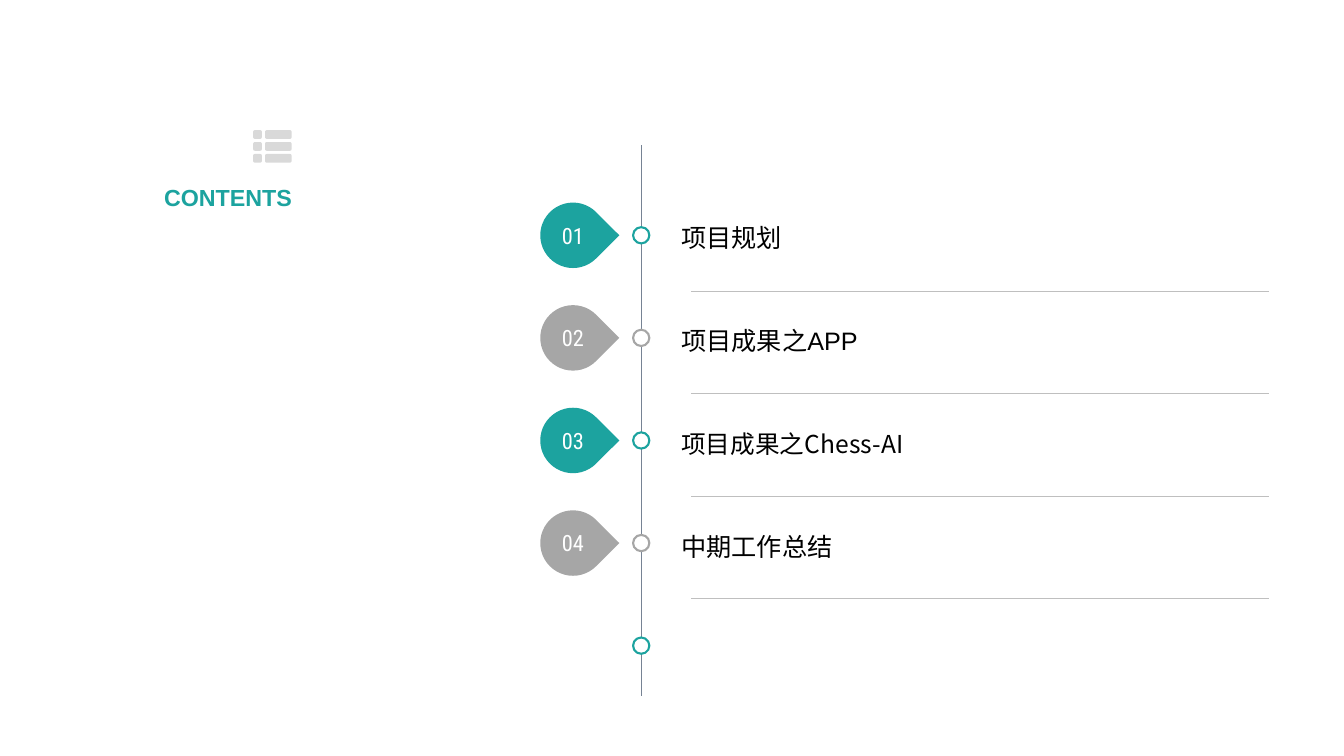
from dataclasses import dataclass
from itertools import product

from lxml.etree import SubElement
from pptx import Presentation
from pptx.dml.color import RGBColor
from pptx.enum.shapes import MSO_CONNECTOR as Link, MSO_SHAPE as Preset
from pptx.enum.text import MSO_ANCHOR as Anchor, PP_ALIGN as Align
from pptx.oxml.ns import qn
from pptx.shapes.autoshape import Shape
from pptx.slide import Slide
from pptx.text.text import TextFrame
from pptx.util import Cm, Pt


@dataclass(frozen=True)
class Theme:
    teal: str = "1CA39F"
    gray: str = "A6A6A6"
    icon: str = "D9D9D9"
    axis: str = "768394"
    rule: str = "BFBFBF"
    white: str = "FFFFFF"
    black: str = "000000"
    latin: str = "Arial"
    chinese: str = "Noto Sans CJK SC"
    digits: str = "Roboto Condensed"
    heading_size: float = 16.6
    number_size: float = 16
    entry_size: float = 18
    mixed_size: float = 17.6


@dataclass(frozen=True)
class Entry:
    title: str
    font: str
    size: float


@dataclass(frozen=True)
class Area:
    left: float
    top: float
    width: float
    height: float

    def lengths(self) -> tuple[Cm, Cm, Cm, Cm]:
        return Cm(self.left), Cm(self.top), Cm(self.width), Cm(self.height)


THEME = Theme()
ENTRIES = (
    Entry("项目规划", THEME.latin, THEME.entry_size),
    Entry("项目成果之APP", THEME.latin, THEME.entry_size),
    Entry("项目成果之Chess-AI", THEME.chinese, THEME.mixed_size),
    Entry("中期工作总结", THEME.latin, THEME.entry_size),
)
AXIS_X, BADGE_X, FIRST_Y, PITCH = 16.16, 14.44, 5.93, 2.585
TITLE_PITCH, RULE_PITCH = 2.6, 2.58


def centred(x: float, y: float, size: float) -> Area:
    return Area(x - size / 2, y - size / 2, size, size)


def add_preset(page: Slide, preset: Preset, area: Area, fill: str) -> Shape:
    shape = page.shapes.add_shape(preset, *area.lengths())
    shape.shadow.inherit = False
    shape.fill.solid()
    shape.fill.fore_color.rgb = RGBColor.from_string(fill)
    shape.line.fill.background()
    return shape


def add_line(page: Slide, start: tuple[float, float], end: tuple[float, float],
             color: str, width: float) -> None:
    line = page.shapes.add_connector(Link.STRAIGHT, *map(Cm, start + end))
    line.line.color.rgb = RGBColor.from_string(color)
    line.line.width = Pt(width)
    SubElement(line._element.spPr, qn("a:effectLst"))


def write(frame: TextFrame, text: str, font: str, size: float, color: str,
          align: Align = Align.LEFT, bold: bool = False, spacing: float = 1.0) -> None:
    frame.vertical_anchor = Anchor.MIDDLE
    para = frame.paragraphs[0]
    para.text = text
    para.alignment = align
    para.line_spacing = spacing
    para.font.name = font
    para.font.size = Pt(size)
    para.font.bold = bold
    para.font.color.rgb = RGBColor.from_string(color)
    SubElement(para.font._element, qn("a:ea"), typeface=THEME.chinese)


def add_text(page: Slide, area: Area) -> TextFrame:
    frame = page.shapes.add_textbox(*area.lengths()).text_frame
    frame.word_wrap = True
    return frame


def add_heading(page: Slide) -> None:
    write(add_text(page, Area(1.83, 4.52, 5.77, 0.89)), "CONTENTS", THEME.latin,
          THEME.heading_size, THEME.teal, Align.RIGHT, bold=True)
    for row, (left, width) in product(range(3), ((6.38, 0.22), (6.68, 0.67))):
        bar = add_preset(page, Preset.ROUNDED_RECTANGLE,
                         Area(left, 3.28 + row * 0.3, width, 0.22), THEME.icon)
        bar.adjustments[0] = 0.2


def add_dot(page: Slide, y: float, color: str) -> None:
    dot = add_preset(page, Preset.OVAL, centred(AXIS_X, y, 0.41), THEME.white)
    dot.line.color.rgb = RGBColor.from_string(color)
    dot.line.width = Pt(1.5)


def add_badge(page: Slide, y: float, number: int, color: str) -> None:
    drop = add_preset(page, Preset.TEAR, centred(BADGE_X, y, 1.65), color)
    drop.rotation = 45
    disc = add_preset(page, Preset.OVAL, centred(BADGE_X, y, 1.6), color)
    disc.text_frame.word_wrap = False
    write(disc.text_frame, f"{number:02}", THEME.digits, THEME.number_size,
          THEME.white, Align.CENTER)


def add_entry(page: Slide, index: int, entry: Entry) -> None:
    frame = add_text(page, Area(16.92, 5.31 + index * TITLE_PITCH, 15.06, 1.19))
    write(frame, entry.title, entry.font, entry.size, THEME.black, spacing=1.2)
    rule_y = 7.34 + index * RULE_PITCH
    add_line(page, (17.42, rule_y), (31.98, rule_y), THEME.rule, 0.25)


def main() -> None:
    """Build the contents slide and save it."""
    deck = Presentation()
    deck.slide_width, deck.slide_height = Cm(33.87), Cm(19.05)
    page = deck.slides.add_slide(deck.slide_layouts[6])
    add_heading(page)
    add_line(page, (AXIS_X, 3.66), (AXIS_X, 17.53), THEME.axis, 0.5)
    for index in range(len(ENTRIES) + 1):
        y = FIRST_Y + index * PITCH
        color = (THEME.teal, THEME.gray)[index % 2]
        add_dot(page, y, color)
        if index < len(ENTRIES):
            add_badge(page, y, index + 1, color)
            add_entry(page, index, ENTRIES[index])
    deck.save("out.pptx")


if __name__ == "__main__":
    main()
